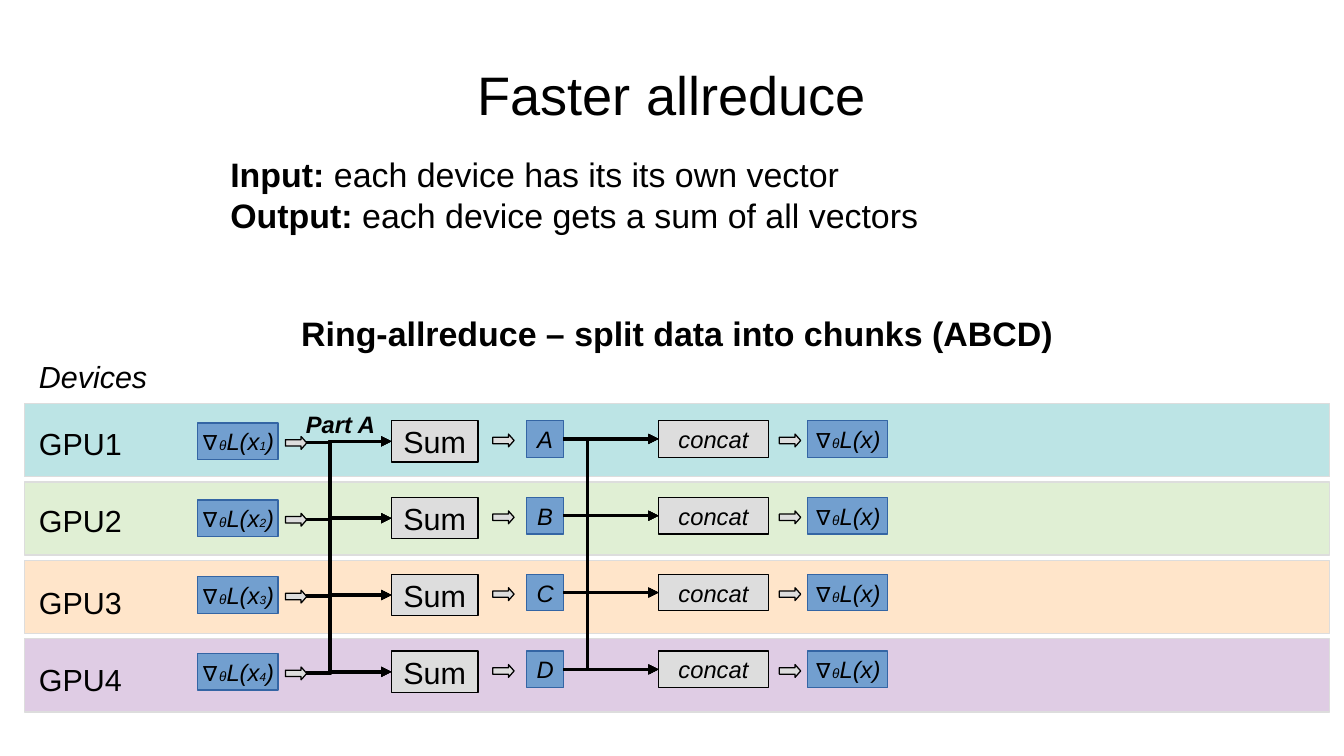
from itertools import product

from lxml.etree import SubElement
from pptx import Presentation
from pptx.dml.color import RGBColor
from pptx.enum.shapes import MSO_CONNECTOR as Connector, MSO_SHAPE as Shape
from pptx.enum.text import MSO_ANCHOR as Anchor, PP_ALIGN as Align
from pptx.oxml.ns import qn
from pptx.util import Inches, Pt

COLUMNS, ROWS = 110.2, 62
CELL = Inches(0.1)
DEVICE_PITCH, BAND_PITCH = 6.3, 6.43
BLACK, GREY, GREY_LINE = "000000", "DDDDDD", "DDDDDD"
BLUE, BLUE_LINE = "729FCF", "3465A4"


def color(hex_string):
    return RGBColor.from_string(hex_string)


def cells(*counts):
    return [round(count * CELL) for count in counts]


class Diagram:
    """Draws styled elements on one slide, with lengths in grid cells."""

    def __init__(self, presentation, font="Arial"):
        self.font = font
        self.slide = presentation.slides.add_slide(presentation.slide_layouts[6])

    def fill_paragraph(self, paragraph, runs, size, bold=None, italic=None, align=Align.LEFT):
        paragraph.alignment = align
        font = paragraph.font
        font.name, font.size, font.bold, font.italic = self.font, Pt(size), bold, italic
        font.color.rgb = color(BLACK)
        for text, style in runs:
            run = paragraph.add_run()
            run.text = text
            if "size" in style:
                run.font.size = Pt(style["size"])
            if "bold" in style:
                run.font.bold = style["bold"]

    def text(self, place, lines, size, anchor=Anchor.TOP, gap=0, **style):
        frame = self.slide.shapes.add_textbox(*cells(*place)).text_frame
        frame.word_wrap = True
        frame.vertical_anchor = anchor
        for index, runs in enumerate(lines):
            paragraph = frame.add_paragraph() if index else frame.paragraphs[0]
            self.fill_paragraph(paragraph, runs, size, **style)
        if gap:
            paragraph.space_before = Pt(gap)
            paragraph.alignment = Align.CENTER

    def shape(self, kind, place, fill, line):
        shape = self.slide.shapes.add_shape(kind, *cells(*place))
        shape.shadow.inherit = False
        shape.fill.solid()
        shape.fill.fore_color.rgb = color(fill)
        shape.line.color.rgb = color(line)
        shape.line.width = Pt(0)
        return shape

    def box(self, place, runs, fill, line, size=14, italic=True):
        frame = self.shape(Shape.RECTANGLE, place, fill, line).text_frame
        frame.word_wrap = False
        frame.vertical_anchor = Anchor.MIDDLE
        self.fill_paragraph(frame.paragraphs[0], runs, size, italic=italic,
                            align=Align.CENTER)

    def block_arrow(self, left, top):
        arrow = self.shape(Shape.RIGHT_ARROW, (left, top, 1.75, 1.05), GREY, BLACK)
        arrow.adjustments[1] = 0.44

    def elbow(self, start, end, bend):
        connector = self.slide.shapes.add_connector(Connector.ELBOW, *cells(*start, *end))
        connector.line.color.rgb = color(BLACK)
        connector.line.width = Pt(0)
        properties = connector._element.spPr
        guides = properties.find(qn("a:prstGeom")).find(qn("a:avLst"))
        SubElement(guides, qn("a:gd"), name="adj1", fmla=f"val {round(bend * 100000)}")
        SubElement(properties.find(qn("a:ln")), qn("a:tailEnd"), type="triangle")
        SubElement(properties, qn("a:effectLst"))


def gradient(index=None):
    symbol = [("∇", {}), ("θ", {"size": 8})]
    if index is None:
        return symbol + [("L(x)", {})]
    return symbol + [("L(x", {}), (str(index), {"size": 7}), (")", {})]


def main():
    presentation = Presentation()
    presentation.slide_width, presentation.slide_height = cells(COLUMNS, ROWS)
    diagram = Diagram(presentation)

    diagram.text((5.5, 2.5, 99.2, 10.4), [[("Faster allreduce", {})]], 32,
                 anchor=Anchor.MIDDLE, align=Align.CENTER)
    strong, plain = {"bold": True}, {"bold": False}
    diagram.text((17.9, 12.1, 75.3, 16.5), [
        [("Input:", strong), (" each device has its its own vector", plain)],
        [("Output:", strong), (" each device gets a sum of all vectors", plain)],
        [("Ring-allreduce – split data into chunks (ABCD)", strong)],
    ], 20, gap=46)

    diagram.text((2.2, 28.9, 12.8, 3.8), [[("Devices", {})]], 18, italic=True)
    bands = ["BCE4E5", "E0EFD4", "FFE5CA", "DFCCE4"]
    label_tops = [34.4, 40.7, 47.4, 53.7]
    for device, (band, label_top) in enumerate(zip(bands, label_tops)):
        diagram.shape(Shape.RECTANGLE, (2, 33.1 + device * BAND_PITCH, 107, 6),
                      band, GREY_LINE)
        diagram.text((2.2, label_top, 12.8, 3.8), [[(f"GPU{device + 1}", {})]], 18)

    for device, chunk in enumerate("ABCD"):
        top = 34.5 + device * DEVICE_PITCH
        diagram.box((16.2, top + 0.2, 6.6, 3), gradient(device + 1), BLUE, BLUE_LINE)
        diagram.block_arrow(23.4, top + 1.3)
        diagram.box((32.1, top, 7.1, 3.4), [("Sum", {})], GREY, BLACK, 18, False)
        diagram.block_arrow(40.4, top + 1.1)
        diagram.box((43.2, top, 3, 3), [(chunk, {})], BLUE, BLUE_LINE)
        diagram.box((54, top, 9, 3), [("concat", {})], GREY, BLACK)
        diagram.block_arrow(63.9, top + 1.1)
        diagram.box((66.2, top, 6.6, 3), gradient(), BLUE, BLUE_LINE)

    offsets = [device * DEVICE_PITCH for device in range(len(bands))]
    for source, target in product(offsets, repeat=2):
        diagram.elbow((25.1, 36.3 + source), (32.1, 36.2 + target), 0.28)
        diagram.elbow((46.2, 36 + source), (54, 36 + target), 0.25)

    diagram.text((24.1, 33.1, 12.2, 3.2), [[("Part A", {})]], 14, bold=True, italic=True)
    presentation.save("out.pptx")


if __name__ == "__main__":
    main()
